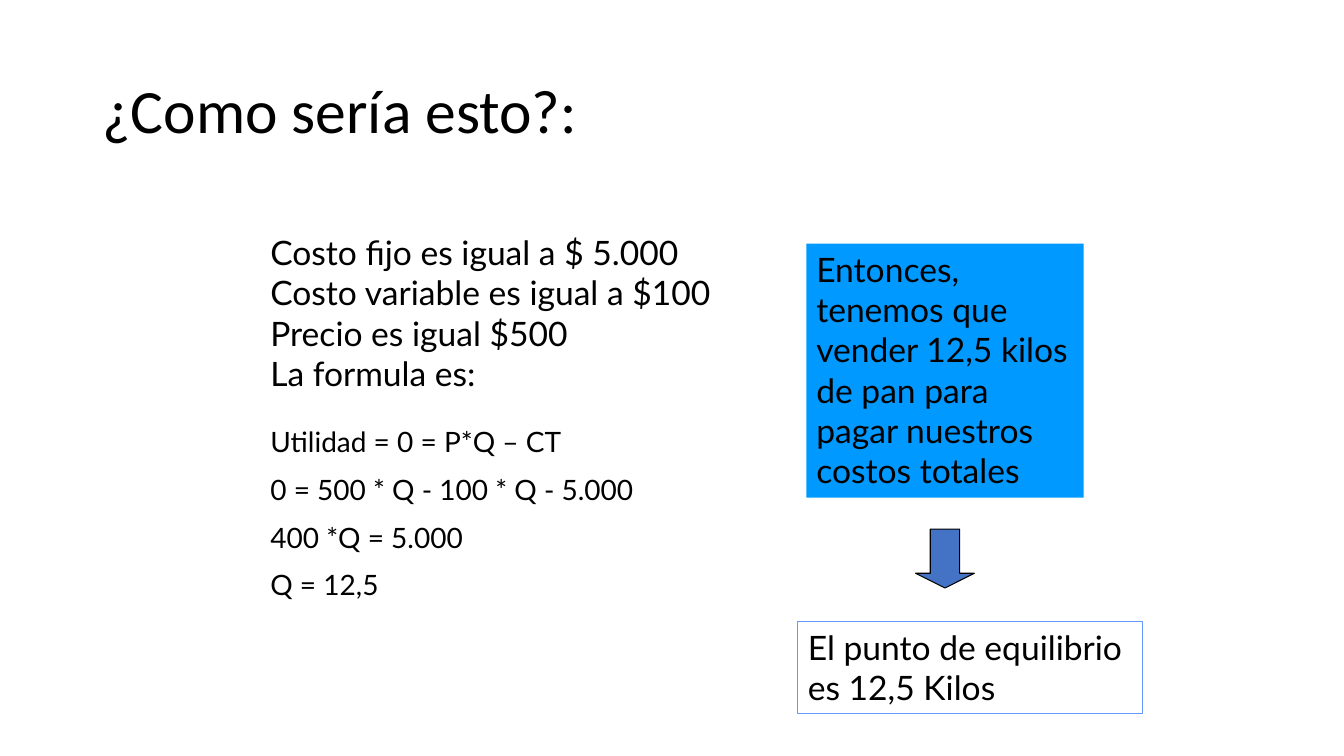
from pptx import Presentation
from pptx.dml.color import RGBColor
from pptx.enum.shapes import MSO_SHAPE
from pptx.enum.text import MSO_ANCHOR, MSO_AUTO_SIZE, PP_ALIGN
from pptx.util import Pt

RECT, DOWN_ARROW = MSO_SHAPE.RECTANGLE, MSO_SHAPE.DOWN_ARROW
TOP, MIDDLE = MSO_ANCHOR.TOP, MSO_ANCHOR.MIDDLE
GROW, FIXED = MSO_AUTO_SIZE.SHAPE_TO_FIT_TEXT, MSO_AUTO_SIZE.NONE
LEFT = PP_ALIGN.LEFT
TITLE_ONLY = 5


def rgb(color):
    return RGBColor.from_string(color)


class SlideBuilder:
    title_font, body_font = "Calibri", "Lato"
    text_color = "000000"

    def __init__(self, prs):
        self.slide = prs.slides.add_slide(prs.slide_layouts[TITLE_ONLY])

    def fill_text(self, tf, lines, size, font=body_font, gap=0, anchor=TOP, fit=GROW):
        """Fill a text frame, one paragraph a line, with gap points between them."""
        tf.word_wrap = True
        tf.auto_size = fit
        tf.vertical_anchor = anchor
        for i, line in enumerate(lines):
            p = tf.add_paragraph() if i else tf.paragraphs[0]
            p.alignment = LEFT
            p.space_before = Pt(gap if i else 0)
            r = p.add_run()
            r.text = line
            r.font.name = font
            r.font.size = Pt(size)
            r.font.color.rgb = rgb(self.text_color)

    def title(self, box, text, size):
        sp = self.slide.shapes.title
        sp.left, sp.top, sp.width, sp.height = map(Pt, box)
        self.fill_text(sp.text_frame, [text], size, self.title_font, anchor=MIDDLE, fit=FIXED)
        sp.text_frame.paragraphs[0].line_spacing = 0.9

    def text(self, box, lines, size, gap=0):
        sp = self.slide.shapes.add_textbox(*map(Pt, box))
        self.fill_text(sp.text_frame, lines, size, gap=gap)

    def shape(self, kind, box, fill=None, line=None, text=None, size=24):
        sp = self.slide.shapes.add_shape(kind, *map(Pt, box))
        sp.shadow.inherit = False
        if fill:
            sp.fill.solid()
            sp.fill.fore_color.rgb = rgb(fill)
        else:
            sp.fill.background()
        if line:
            sp.line.color.rgb = rgb(line)
            sp.line.width = Pt(0.75)
        else:
            sp.line.fill.background()
        if text:
            self.fill_text(sp.text_frame, [text], size)
        return sp


def main():
    prs = Presentation()
    prs.slide_width, prs.slide_height = Pt(960), Pt(540)
    s = SlideBuilder(prs)

    s.title((66, 28.75, 828, 104.4), "¿Como sería esto?:", 44)
    s.text((186, 162, 335.5, 123.8), [
        "Costo fijo es igual a $ 5.000",
        "Costo variable es igual a $100",
        "Precio es igual $500",
        "La formula es:",
    ], 24)
    s.text((186, 300, 372, 139), [
        "Utilidad = 0 = P*Q – CT",
        "0 = 500 * Q - 100 * Q - 5.000",
        "400 *Q = 5.000",
        "Q = 12,5",
    ], 20, gap=10)

    s.shape(RECT, (576, 174, 198, 181.5), fill="0099FF",
            text="Entonces, tenemos que vender 12,5 kilos de pan para pagar nuestros costos totales")
    arrow = s.shape(DOWN_ARROW, (654, 378, 42, 42), fill="4472C4", line="000000")
    arrow.adjustments[0], arrow.adjustments[1] = 0.5, 0.25
    s.shape(RECT, (570, 444, 246, 65.5), line="6699FF",
            text="El punto de equilibrio es 12,5 Kilos")

    prs.save("out.pptx")


if __name__ == "__main__":
    main()
